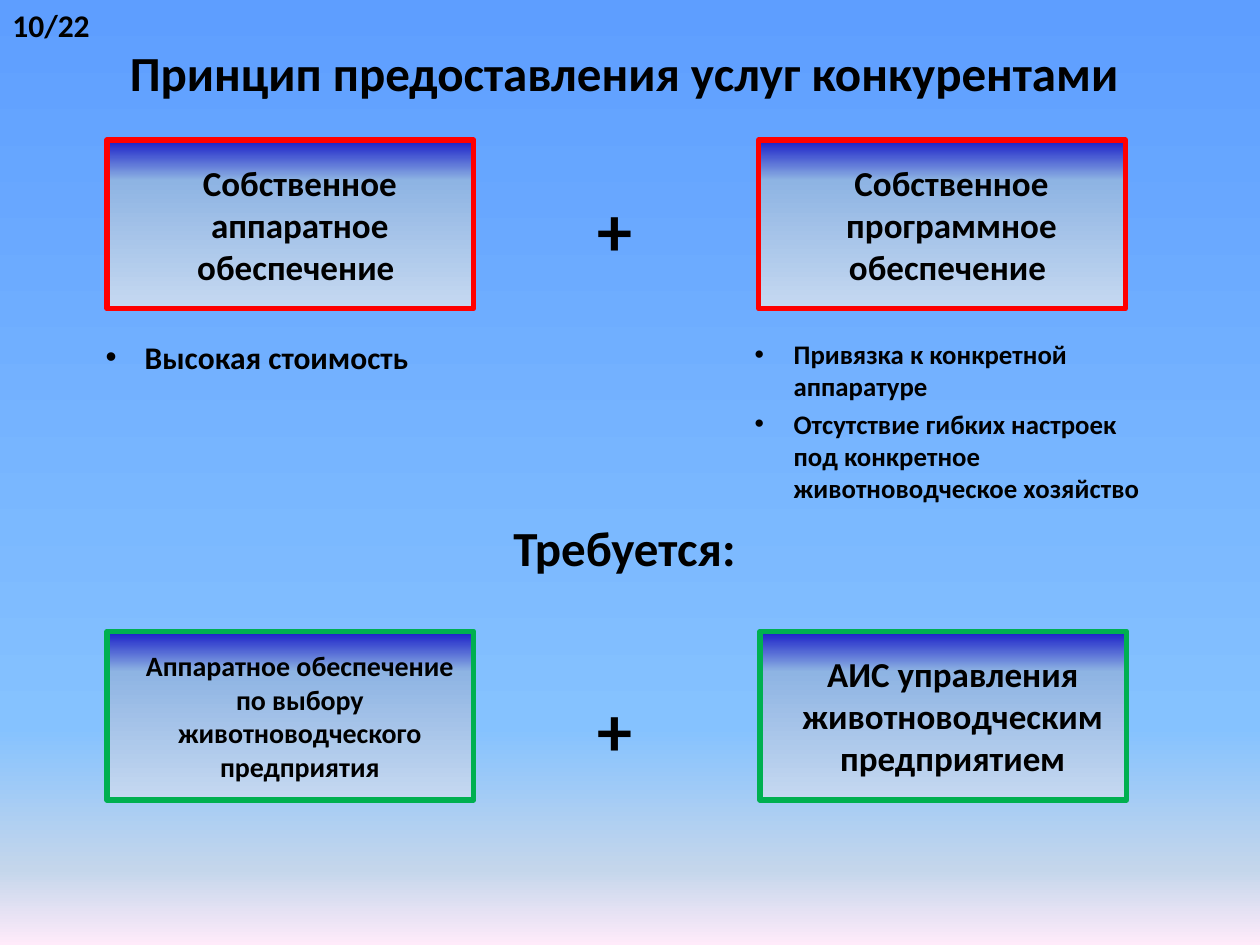
from dataclasses import dataclass

from lxml import etree
from pptx import Presentation
from pptx import util as u
from pptx.dml.color import RGBColor
from pptx.enum import shapes, text
from pptx.oxml.ns import qn

Pt = u.Pt


@dataclass(frozen=True)
class Theme:
    font: str = "Calibri"
    ink: str = "000000"
    problem: str = "FF0000"
    solution: str = "00B050"
    backdrop: tuple = ((0, "5E9EFF"), (77, "85C2FF"), (92, "C4D6EB"), (100, "FFEBFA"))
    panel: tuple = ((0, "C6D9F1"), (76, "8EB4E3"), (100, "181CC7"))
    heading: float = 28
    plus: float = 40
    large: float = 20
    body: float = 18
    medium: float = 16
    small: float = 15.3


THEME = Theme()
PANEL_WIDTH, PANEL_HEIGHT = 209.5, 96.5
LEFT_COLUMN, RIGHT_COLUMN = 61.2, 433.6
TOP_ROW, BOTTOM_ROW = 80, 360.7
CENTRED = {"align": text.PP_ALIGN.CENTER, "margin": 10.8}


def paint_gradient(owner, fill, stops, angle):
    """Fill with (percent, colour) stops; the angle runs anticlockwise."""
    fill.gradient()
    fill.gradient_angle = angle
    stop_list = owner.element.find(".//" + qn("a:gsLst"))
    stop_list.clear()
    for percent, colour in stops:
        stop = etree.SubElement(stop_list, qn("a:gs"), pos=str(percent * 1000))
        etree.SubElement(stop, qn("a:srgbClr"), val=colour)


def write_text(frame, *lines, size, align=text.PP_ALIGN.LEFT, margin=0, hanging=0,
               spaced=False, bullet=None):
    for index, line in enumerate(lines):
        para = frame.add_paragraph() if index else frame.paragraphs[0]
        para.alignment = align
        if spaced:
            para.space_before = Pt(size * 0.2)
        properties = para._p.get_or_add_pPr()
        properties.set("marL", str(Pt(margin)))
        properties.set("indent", str(Pt(-hanging)))
        if bullet:
            etree.SubElement(properties, qn("a:buFont"), typeface="Arial")
            etree.SubElement(properties, qn("a:buChar"), char=bullet)
        span = para.add_run()
        span.text = line
        span.font.name = THEME.font
        span.font.size = Pt(size)
        span.font.bold = True
        span.font.color.rgb = RGBColor.from_string(THEME.ink)


def add_label(page, left, top, width, height, *lines, wrap=True, **style):
    box = page.shapes.add_textbox(Pt(left), Pt(top), Pt(width), Pt(height))
    box.text_frame.word_wrap = wrap
    write_text(box.text_frame, *lines, **style)
    return box


def add_panel(page, left, top, line, border, size):
    box = page.shapes.add_shape(shapes.MSO_SHAPE.RECTANGLE, Pt(left), Pt(top),
                                Pt(PANEL_WIDTH), Pt(PANEL_HEIGHT))
    box.shadow.inherit = False
    paint_gradient(box, box.fill, THEME.panel, 90)
    box.line.color.rgb = RGBColor.from_string(border)
    box.line.width = Pt(3)
    box.text_frame.word_wrap = True
    box.text_frame.vertical_anchor = text.MSO_ANCHOR.MIDDLE
    write_text(box.text_frame, line, size=size, **CENTRED)


def main():
    deck = Presentation()
    deck.slide_width, deck.slide_height = Pt(720), Pt(540)
    page = deck.slides.add_slide(deck.slide_layouts[6])
    paint_gradient(page, page.background.fill, THEME.backdrop, 270)

    # Headings
    for left, top, line in (
        (31, 20.9, "Принцип предоставления услуг конкурентами "),
        (28.1, 292.3, "Требуется:"),
    ):
        add_label(page, left, top, 646.6, 45.4, line, size=THEME.heading,
                  spaced=True, **CENTRED)

    # Panels: what competitors offer, then what is required
    for left, top, line, border, size in (
        (LEFT_COLUMN, TOP_ROW, "Собственное аппаратное обеспечение ",
         THEME.problem, THEME.large),
        (RIGHT_COLUMN, TOP_ROW, "Собственное программное обеспечение ",
         THEME.problem, THEME.large),
        (LEFT_COLUMN, BOTTOM_ROW,
         "Аппаратное обеспечение по выбору животноводческого предприятия",
         THEME.solution, THEME.medium),
        (RIGHT_COLUMN + 0.7, BOTTOM_ROW, "АИС управления животноводческим предприятием",
         THEME.solution, THEME.large),
    ):
        add_panel(page, left, top, line, border, size)

    # Plus signs between the panels
    for top in (103, 388.8):
        add_label(page, 326.2, top, 39.6, 51.1, "+", size=THEME.plus,
                  spaced=True, **CENTRED)

    # Drawbacks
    bullets = {"margin": 33.1, "hanging": 22.3, "spaced": True, "bullet": "•"}
    add_label(page, 42.5, 189.4, 209.5, 102.2, "Высокая стоимость",
              size=THEME.body, **bullets)
    add_label(page, 413.3, 189.4, 260.6, 102.2,
              "Привязка к конкретной аппаратуре",
              "Отсутствие гибких настроек под конкретное животноводческое хозяйство",
              size=THEME.small, **bullets)

    # Page counter
    counter = add_label(page, 0, 0, 59, 28.8, "10/22", wrap=False, size=THEME.body)
    counter.text_frame.auto_size = text.MSO_AUTO_SIZE.SHAPE_TO_FIT_TEXT

    deck.save("out.pptx")


if __name__ == "__main__":
    main()
